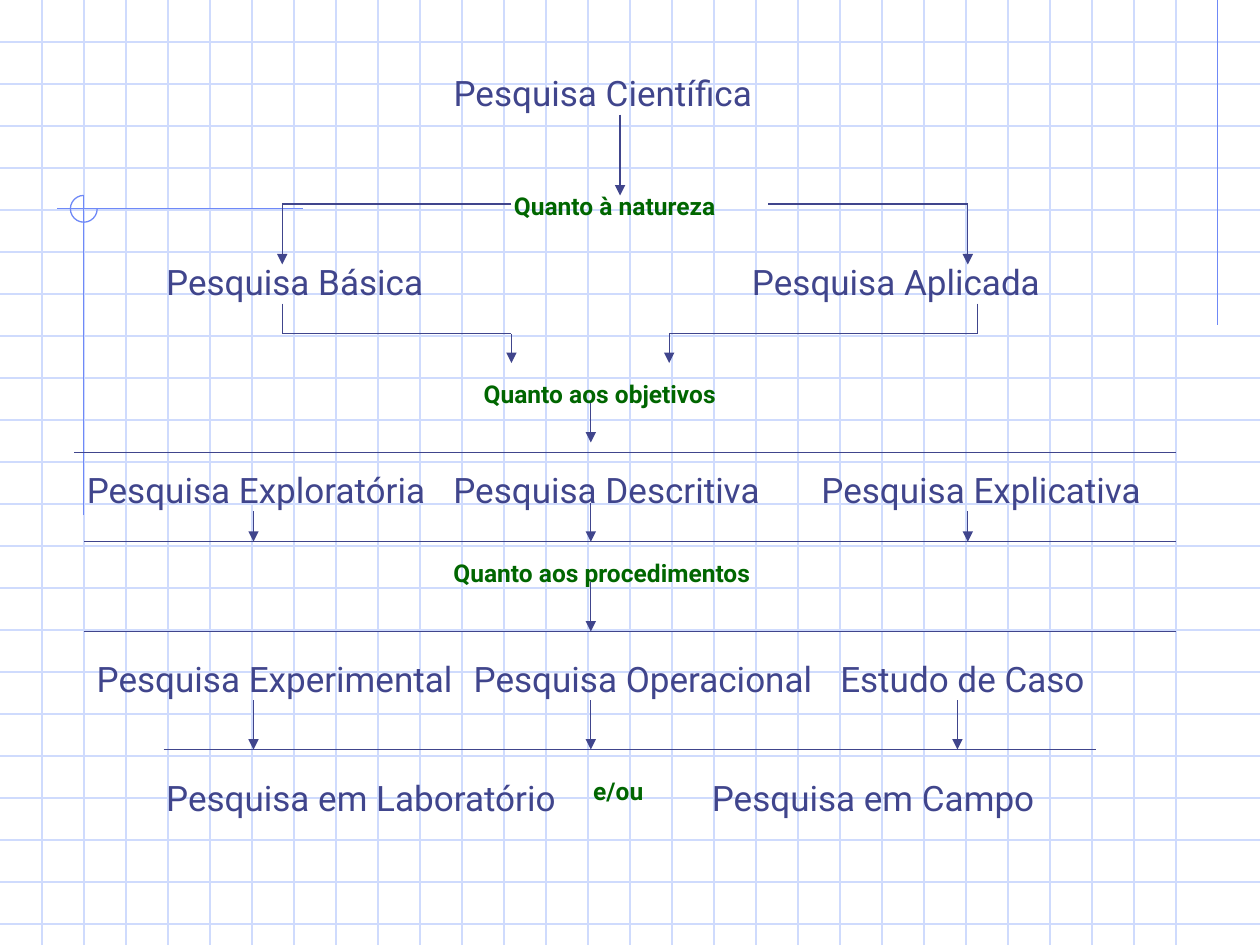
from lxml.etree import SubElement
from pptx import Presentation
from pptx.dml.color import RGBColor
from pptx.enum.shapes import MSO_CONNECTOR, MSO_SHAPE
from pptx.enum.text import MSO_ANCHOR, MSO_AUTO_SIZE, PP_ALIGN
from pptx.oxml.ns import qn
from pptx.util import Cm, Pt

WIDTH, HEIGHT = 25.4, 19.05
CELL = 2.54 / 3
FONT = "Roboto"
GRID, ACCENT, INK, GREEN = "CFDBFD", "6F89F7", "40458C", "006600"
LEFT, RIGHT = 1.7, 23.7
BASIC_X, APPLIED_X, MIDDLE_X, FIRST_X = 5.69, 19.51, 11.91, 5.11

# text, left, top
TOPICS = [
    ("Pesquisa Básica", 3.1, 5.13),
    ("Pesquisa Aplicada", 14.91, 5.13),
    ("Pesquisa Exploratória", 1.5, 9.32),
    ("Pesquisa Descritiva", 8.89, 9.32),
    ("Pesquisa Explicativa", 16.31, 9.32),
    ("Pesquisa Experimental", LEFT, 13.13),
    ("Pesquisa Operacional", 9.3, 13.13),
    ("Estudo de Caso", 16.69, 13.13),
    ("Pesquisa em Laboratório", 3.1, 15.52),
    ("Pesquisa em Campo", 14.1, 15.52),
]
# text, left, top, width
CRITERIA = [
    ("Quanto à natureza", 10.11, 3.73, 5.61),
    ("Quanto aos objetivos", 9.5, 7.52, 6.2),
    ("Quanto aos procedimentos", 8.89, 11.13, 7.59),
    ("e/ou", 11.71, 15.52, 2.41),
]
# corner points of each path; the last leg carries the arrowhead
ARROWS = [
    [(12.5, 2.31), (12.5, 3.94)],
    [(10.31, 4.11), (BASIC_X, 4.11), (BASIC_X, 5.33)],
    [(15.49, 4.11), (APPLIED_X, 4.11), (APPLIED_X, 5.33)],
    [(BASIC_X, 6.12), (BASIC_X, 6.73), (10.31, 6.73), (10.31, 7.32)],
    [(19.71, 6.12), (19.71, 6.73), (13.49, 6.73), (13.49, 7.32)],
    [(MIDDLE_X, 8.13), (MIDDLE_X, 8.92)],
    [(FIRST_X, 10.31), (FIRST_X, 10.92)],
    [(MIDDLE_X, 10.13), (MIDDLE_X, 10.92)],
    [(APPLIED_X, 10.31), (APPLIED_X, 10.92)],
    [(MIDDLE_X, 11.73), (MIDDLE_X, 12.73)],
    [(FIRST_X, 14.12), (FIRST_X, 15.11)],
    [(MIDDLE_X, 14.12), (MIDDLE_X, 15.11)],
    [(19.3, 14.12), (19.3, 15.11)],
]
# left, right, height on the page
RULES = [(1.5, RIGHT, 9.12), (LEFT, RIGHT, 10.92),
         (LEFT, RIGHT, 12.73), (3.3, 22.1, 15.11)]


def color(value):
    return RGBColor.from_string(value)


def add_line(shapes, start, end, stroke=INK, arrow=False):
    line = shapes.add_connector(MSO_CONNECTOR.STRAIGHT, *map(Cm, start + end))
    line.line.color.rgb = color(stroke)
    line.line.width = Pt(0.75)
    if arrow:
        SubElement(line.line._get_or_add_ln(), qn("a:tailEnd"), type="triangle")
    SubElement(line.element.spPr, qn("a:effectLst"))


def add_arrow_path(shapes, points):
    legs = list(zip(points, points[1:]))
    for number, (start, end) in enumerate(legs, 1):
        add_line(shapes, start, end, arrow=number == len(legs))


def write(box, text, size=20, ink=INK, bold=False, before=12.5):
    frame = box.text_frame
    frame.word_wrap = True
    frame.auto_size = MSO_AUTO_SIZE.NONE
    frame.vertical_anchor = MSO_ANCHOR.TOP
    para = frame.paragraphs[0]
    para.alignment = PP_ALIGN.LEFT
    para.space_before = Pt(before)
    span = para.add_run()
    span.text = text
    span.font.name = FONT
    span.font.size = Pt(size)
    span.font.bold = bold
    span.font.color.rgb = color(ink)


def add_text(shapes, text, left, top, width, height, **style):
    box = shapes.add_textbox(Cm(left), Cm(top), Cm(width), Cm(height))
    write(box, text, **style)


def add_grid(page):
    shapes = page.shapes.add_group_shape().shapes
    for row in range(1, int(HEIGHT / CELL) + 1):
        add_line(shapes, (0, row * CELL), (WIDTH, row * CELL), GRID)
    for column in range(1, int(WIDTH / CELL)):
        add_line(shapes, (column * CELL, 0), (column * CELL, HEIGHT), GRID)


def add_margin_marks(page):
    shapes = page.shapes
    add_line(shapes, (24.55, 0), (24.55, 6.55), ACCENT)
    add_line(shapes, (6.1, 4.21), (1.14, 4.21), ACCENT)
    add_line(shapes, (1.69, 3.94), (1.69, 10.39), ACCENT)
    arc = shapes.add_shape(MSO_SHAPE.ARC, Cm(1.42), Cm(3.94), Cm(0.54), Cm(0.54))
    # Angles count in units of 100000/60000 degrees: from 0 to 270 degrees
    arc.adjustments[0] = 0
    arc.adjustments[1] = 162
    arc.shadow.inherit = False
    arc.fill.background()
    arc.line.color.rgb = color(ACCENT)
    arc.line.width = Pt(0.75)


def place_title(page, text):
    """Fill the title and bring it in front of the grid."""
    title = page.shapes.title
    title.left, title.top = Cm(8.89), Cm(1.32)
    title.width, title.height = Cm(7.8), Cm(1.12)
    write(title, text)
    page.shapes.element.append(title.element)


def main():
    deck = Presentation()
    deck.slide_width, deck.slide_height = Cm(WIDTH), Cm(HEIGHT)
    page = deck.slides.add_slide(deck.slide_layouts[5])
    add_grid(page)
    add_margin_marks(page)
    place_title(page, "Pesquisa Científica")
    for text, left, top in TOPICS:
        width = 8.41 if text == "Pesquisa em Laboratório" else 7.8
        add_text(page.shapes, text, left, top, width, 1.12)
    for text, left, top, width in CRITERIA:
        add_text(page.shapes, text, left, top, width, 0.86,
                 size=14, ink=GREEN, bold=True, before=8.8)
    for points in ARROWS:
        add_arrow_path(page.shapes, points)
    for left, right, level in RULES:
        add_line(page.shapes, (left, level), (right, level))
    deck.save("out.pptx")


if __name__ == "__main__":
    main()
